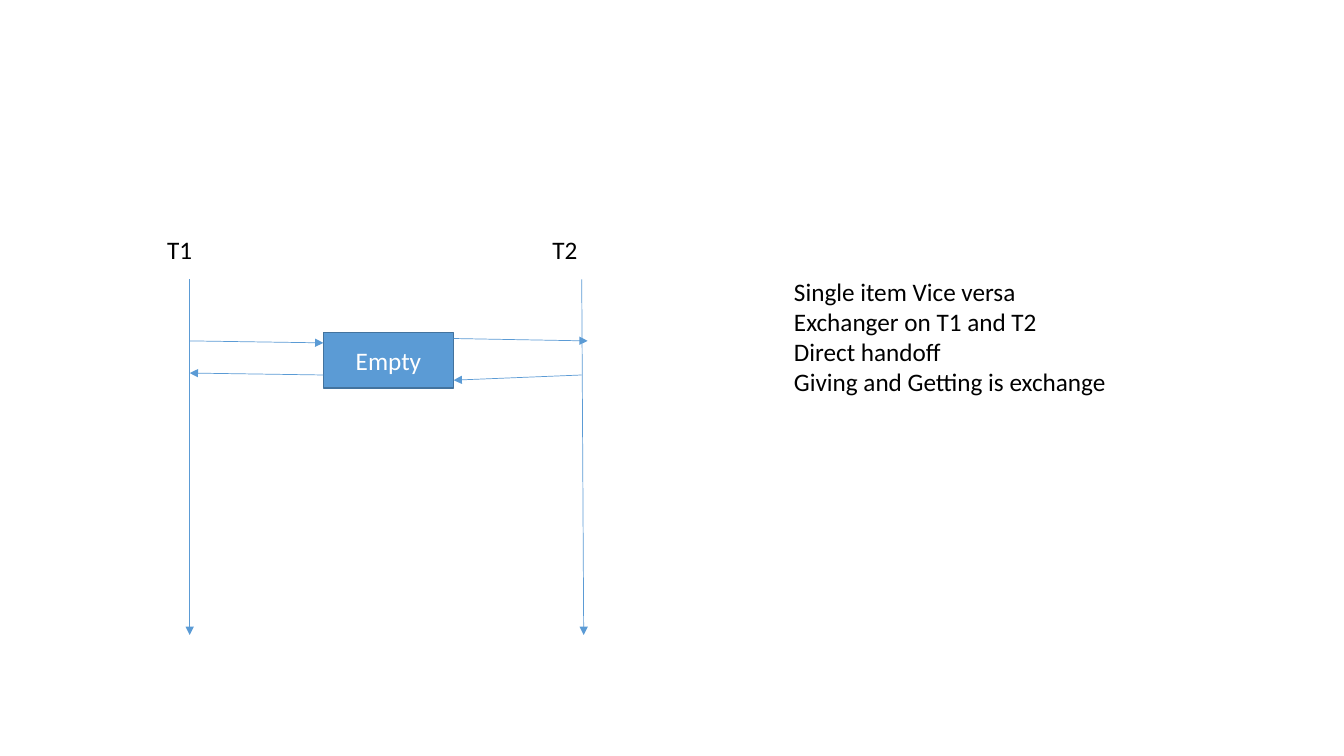
from lxml import etree
from pptx import Presentation
from pptx import util as u
from pptx.dml.color import RGBColor
from pptx.enum import shapes, text
from pptx.oxml.ns import qn

BLUE, DARK_BLUE, BLACK, WHITE = "5B9BD5", "43739E", "000000", "FFFFFF"


def colour(hex_code):
    """Turn a hex string into a colour."""
    return RGBColor.from_string(hex_code)


def assign(target, values):
    """Set each attribute of target named in values."""
    for name, value in values.items():
        setattr(target, name, value)


class Sketch:
    """Hold the style and the current slide."""

    font = {"name": "Calibri", "size": u.Pt(18)}

    def __init__(self, slide):
        """Keep the slide to draw on."""
        self.shapes = slide.shapes

    def fill_text(self, frame, wording, ink, **paragraph_format):
        """Fill a text frame, one paragraph for each line of wording."""
        frame.text = wording
        for paragraph in frame.paragraphs:
            assign(paragraph, paragraph_format)
            for run in paragraph.runs:
                assign(run.font, self.font)
                run.font.color.rgb = colour(ink)

    def label(self, wording, *place):
        """Add black text at left, top, width, height in cm."""
        frame = self.shapes.add_textbox(*map(u.Cm, place)).text_frame
        assign(frame, {"word_wrap": True,
                       "auto_size": text.MSO_AUTO_SIZE.SHAPE_TO_FIT_TEXT})
        self.fill_text(frame, wording, BLACK)

    def box(self, wording, *place):
        """Add a blue rectangle with centred white text."""
        box = self.shapes.add_shape(shapes.MSO_SHAPE.RECTANGLE, *map(u.Cm, place))
        box.shadow.inherit = False
        box.fill.solid()
        box.fill.fore_color.rgb = colour(BLUE)
        box.line.color.rgb = colour(DARK_BLUE)
        box.line.width = u.Pt(1)
        box.text_frame.vertical_anchor = text.MSO_ANCHOR.MIDDLE
        self.fill_text(box.text_frame, wording, WHITE,
                       alignment=text.PP_ALIGN.CENTER)

    def arrow(self, *ends):
        """Add a thin arrow from x, y to x, y in cm."""
        arrow = self.shapes.add_connector(shapes.MSO_CONNECTOR.STRAIGHT,
                                          *map(u.Cm, ends))
        arrow.line.color.rgb = colour(BLUE)
        arrow.line.width = u.Pt(0.5)
        properties = arrow._element.spPr
        etree.SubElement(properties.find(qn("a:ln")), qn("a:tailEnd"), type="triangle")
        etree.SubElement(properties, qn("a:effectLst"))


deck = Presentation()
assign(deck, {"slide_width": u.Cm(33.87), "slide_height": u.Cm(19.05)})
sketch = Sketch(deck.slides.add_slide(deck.slide_layouts[6]))

t1_x, t2_x = 4.78, 14.66
timeline_top, timeline_end = 7.04, 16
slot_left, slot_top, slot_width, slot_height = 8.15, 8.38, 3.28, 1.4
slot_right = slot_left + slot_width

sketch.arrow(t1_x, timeline_top, t1_x, timeline_end)
sketch.box("Empty", slot_left, slot_top, slot_width, slot_height)
sketch.arrow(t2_x, timeline_top, t2_x + 0.05, timeline_end)

sketch.label("T1", 3.96, 5.77, 2.54, 1.07)
sketch.label("T2", 13.67, 5.77, 2.06, 1.07)
sketch.label("Single item Vice versa\nExchanger on T1 and T2\n"
             "Direct handoff\nGiving and Getting is exchange",
             19.76, 6.83, 9.93, 3.33)

handoffs = [
    (slot_left, 9.45, t1_x, 9.4),
    (t2_x, 9.45, slot_right, 9.58),
    (t1_x, 8.59, slot_left, 8.64),
    (slot_right, 8.53, t2_x + 0.15, 8.59),
]
for handoff in handoffs:
    sketch.arrow(*handoff)

deck.save("out.pptx")
